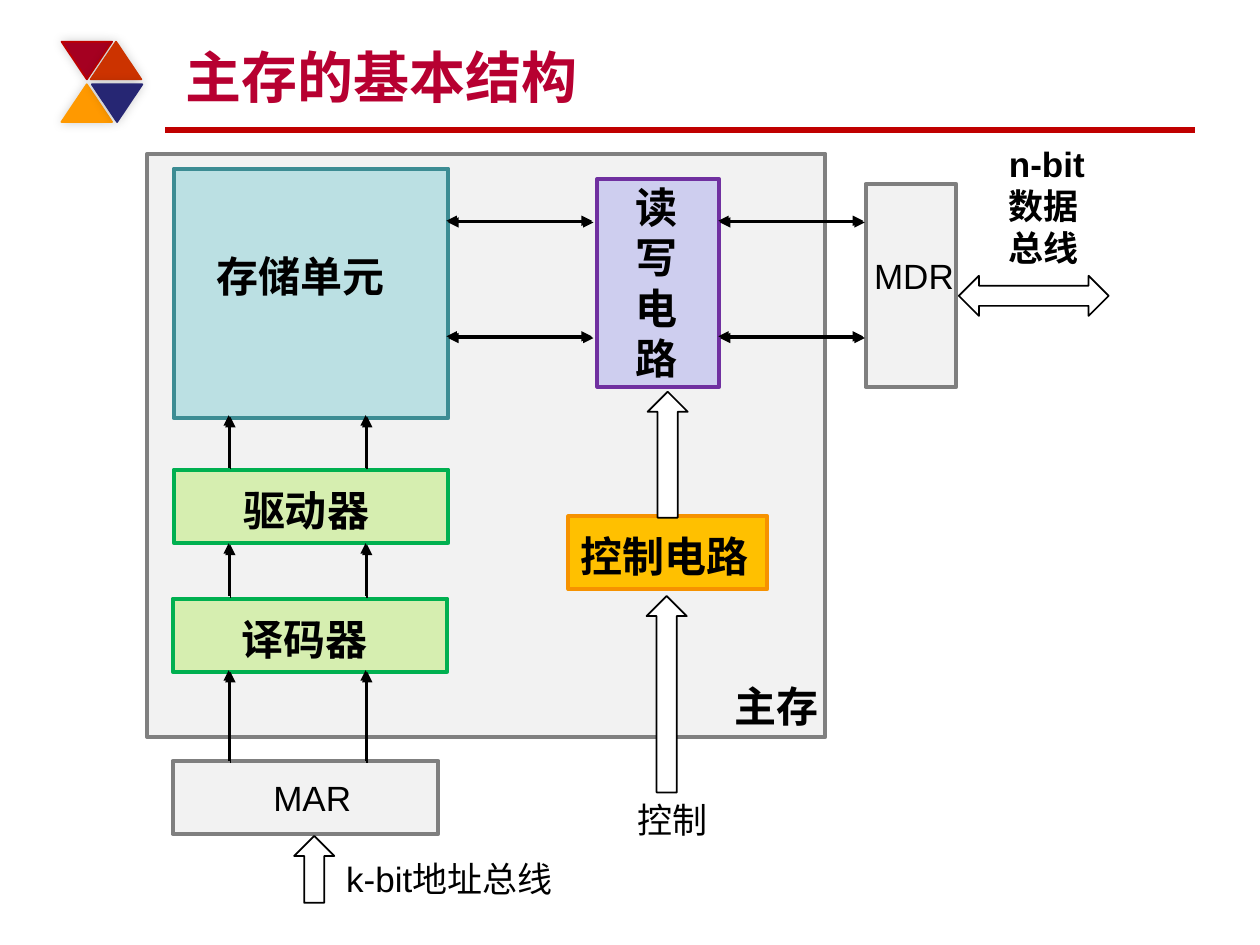
import pptx
import pptx.util
import pptx.dml.color
import pptx.enum.shapes
import pptx.enum.text
import pptx.oxml
import pptx.oxml.ns
from dataclasses import dataclass
from lxml import etree

Cm = pptx.util.Cm
Pt = pptx.util.Pt
Kind = pptx.enum.shapes.MSO_SHAPE
Fit = pptx.enum.text.MSO_AUTO_SIZE
qn = pptx.oxml.ns.qn


@dataclass
class Shape:
    kind: Kind
    left: float
    top: float
    width: float
    height: float
    fill: str
    line: str
    weight: float = 1
    turn: float = 0


@dataclass
class Label:
    text: str
    left: float
    top: float
    width: float
    height: float = 1.27
    size: float = 24
    bold: bool = True


@dataclass
class Shade:
    alpha: int
    blur: float
    dist: float
    angle: int


def paint(color, code: str) -> None:
    color.rgb = pptx.dml.color.RGBColor.from_string(code)


def style(para, size: float, bold: bool, code: str) -> None:
    para.font.name = "Arial"
    para.font.size = Pt(size)
    para.font.bold = bold
    paint(para.font.color, code)


def cast(effects, shade: Shade) -> None:
    outer = etree.SubElement(
        effects, qn("a:outerShdw"), blurRad=str(Pt(shade.blur)),
        dist=str(Pt(shade.dist)), dir=str(shade.angle * 60000),
        algn="ctr", rotWithShape="0")
    color = etree.SubElement(outer, qn("a:srgbClr"), val="000000")
    etree.SubElement(color, qn("a:alpha"), val=str(shade.alpha * 1000))


def draw(slide, item: Shape):
    shape = slide.shapes.add_shape(
        item.kind, Cm(item.left), Cm(item.top), Cm(item.width), Cm(item.height))
    shape.rotation = item.turn
    shape.shadow.inherit = False
    shape.fill.solid()
    paint(shape.fill.fore_color, item.fill)
    paint(shape.line.color, item.line)
    shape.line.width = Pt(item.weight)
    return shape


def write(slide, item: Label) -> None:
    box = slide.shapes.add_textbox(
        Cm(item.left), Cm(item.top), Cm(item.width), Cm(item.height))
    frame = box.text_frame
    frame.word_wrap = True
    frame.auto_size = Fit.SHAPE_TO_FIT_TEXT
    frame.text = item.text
    style(frame.paragraphs[0], item.size, item.bold, "000000")


def link(slide, start: tuple, end: tuple, code: str, weight: float,
         ends: tuple = (), shade: Shade | None = None) -> None:
    line = slide.shapes.add_connector(
        pptx.enum.shapes.MSO_CONNECTOR.STRAIGHT,
        Cm(start[0]), Cm(start[1]), Cm(end[0]), Cm(end[1]))
    paint(line.line.color, code)
    line.line.width = Pt(weight)
    stroke = line.line._get_or_add_ln()
    for end_tag in ends:
        etree.SubElement(stroke, qn(end_tag), type="triangle")
    effects = etree.SubElement(stroke.getparent(), qn("a:effectLst"))
    if shade:
        cast(effects, shade)


def block(left, top, width, height, fill, line) -> Shape:
    return Shape(Kind.RECTANGLE, left, top, width, height, fill, line, 2.25)


def arrow(left, top, width, kind=Kind.RIGHT_ARROW, turn=270) -> Shape:
    return Shape(kind, left, top, width, 0.81, "FFFFFF", "000000", 1, turn)


def mark(left, top, fill, line, turn=0) -> Shape:
    return Shape(Kind.ISOSCELES_TRIANGLE, left, top, 1.02, 0.76, fill, line, 1, turn)


MARKS = [
    mark(1.24, 0.84, "A50021", "C00000", 180),
    mark(1.83, 0.84, "CC3300", "CC3300"),
    mark(1.24, 1.7, "FF9900", "FF9900"),
    mark(1.85, 1.7, "262673", "262673", 180),
]

PARTS = [
    block(2.97, 3.1, 13.67, 11.76, "F2F2F2", "808080"),
    block(3.5, 3.4, 5.54, 5.03, "BBE0E3", "3C8C93"),
    block(3.5, 9.47, 5.54, 1.47, "D6EEB0", "00B050"),
    block(3.48, 12.07, 5.54, 1.47, "D6EEB0", "00B050"),
    block(3.48, 15.34, 5.36, 1.47, "F2F2F2", "7F7F7F"),
    block(17.45, 3.71, 1.83, 4.09, "F2F2F2", "7F7F7F"),
    block(12.04, 3.61, 2.46, 4.19, "CECEEF", "7030A0"),
    block(11.46, 10.41, 4.01, 1.47, "FFC000", "F69200"),
    arrow(5.66, 17.12, 1.35),
    arrow(12.19, 8.76, 2.54),
    arrow(11.46, 13.59, 3.96),
    arrow(19.33, 5.56, 3.02, Kind.LEFT_RIGHT_ARROW, 0),
]

LABELS = [
    Label("主存", 14.55, 13.59, 2.49),
    Label("存储单元", 4.11, 4.93, 4.42),
    Label("驱动器", 4.65, 9.65, 3.23),
    Label("译码器", 4.62, 12.24, 3.23),
    Label("读写电路", 12.57, 3.53, 1.78, 4.37),
    Label("控制电路", 11.46, 10.57, 4.01),
    Label("n-bit数据总线", 20.09, 2.74, 2.54, 2.82, 20),
    Label("k-bit地址总线", 6.73, 17.17, 5.51, 1.12, 20, False),
    Label("MAR", 5.26, 15.52, 2.13, 1.12, 20, False),
    Label("MDR", 17.37, 5, 2.13, 1.12, 20, False),
    Label("控制", 12.6, 15.98, 3.53, 1.12, 20, False),
]

ROWS = (4.45, 6.78)
SPANS = ((9, 11.93), (14.48, 17.4))
COLS = (4.61, 7.37)
RISES = ((15.34, 13.51), (12.02, 10.95), (9.43, 8.37))
SOFT = Shade(20, 6, 0, 315)
HARD = Shade(100, 0, 1.4, 45)


def head(slide) -> None:
    link(slide, (3.33, 2.62), (24.08, 2.62), "C00000", 3)
    for item in MARKS:
        shape = draw(slide, item)
        cast(shape.element.spPr.find(qn("a:effectLst")), SOFT)
    title = slide.shapes.title
    title.left, title.top = Cm(3.48), Cm(0.64)
    title.width, title.height = Cm(20.32), Cm(1.7)
    frame = title.text_frame
    frame.text = "主存的基本结构"
    frame.auto_size = Fit.NONE
    frame.vertical_anchor = pptx.enum.text.MSO_ANCHOR.BOTTOM
    para = frame.paragraphs[0]
    para.alignment = pptx.enum.text.PP_ALIGN.LEFT
    style(para, 32, True, "B70031")


def main() -> None:
    deck = pptx.Presentation()
    deck.slide_width, deck.slide_height = Cm(25.4), Cm(19.05)
    slide = deck.slides.add_slide(deck.slide_layouts[5])
    head(slide)
    for item in PARTS:
        draw(slide, item)
    for item in LABELS:
        write(slide, item)
    for row in ROWS:
        for left, right in SPANS:
            link(slide, (left, row), (right, row), "000000", 1,
                 ("a:headEnd", "a:tailEnd"), HARD)
    for col in COLS:
        for low, high in RISES:
            link(slide, (col, low), (col, high), "000000", 1,
                 ("a:tailEnd",), HARD)
    deck.save("out.pptx")


if __name__ == "__main__":
    main()
